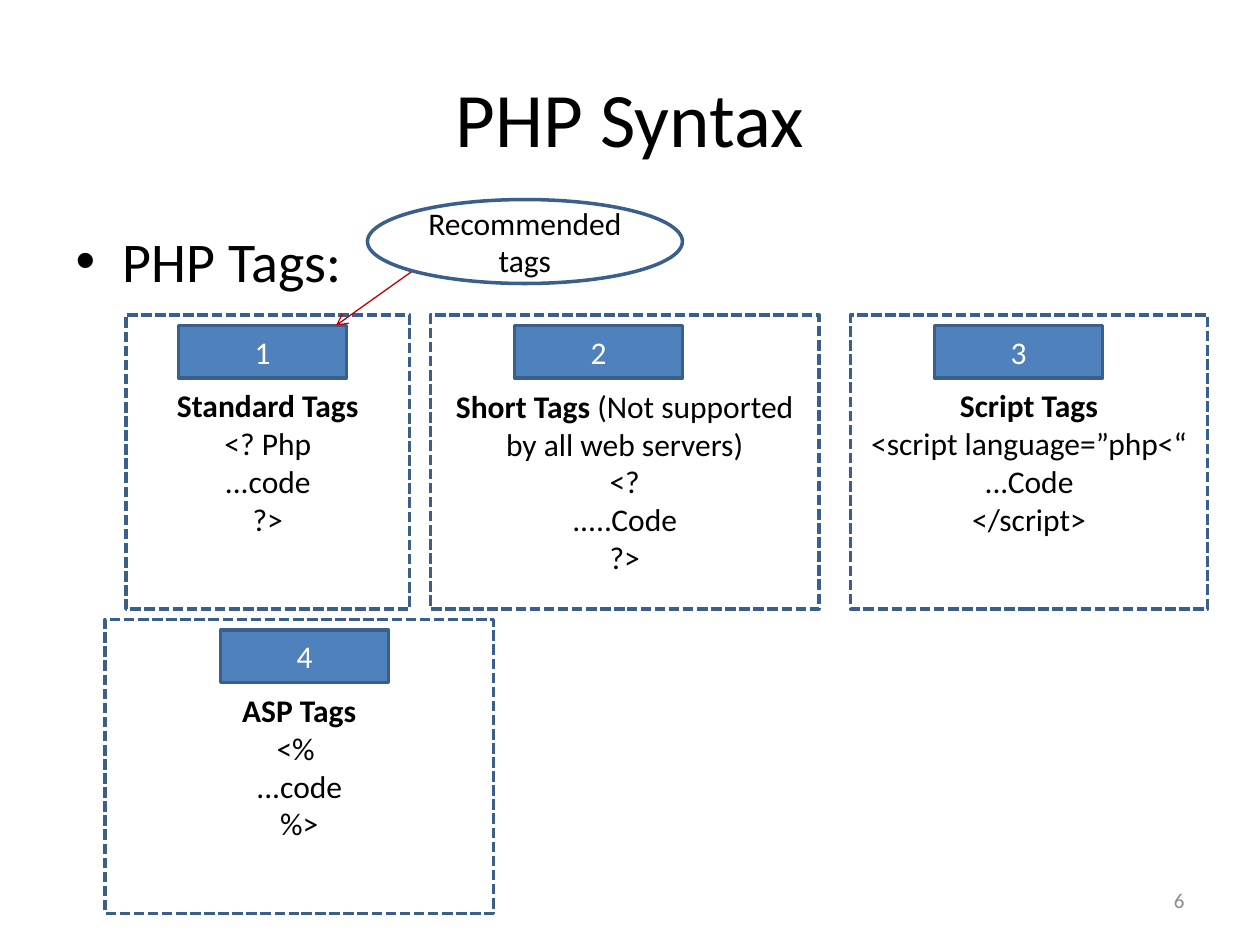
from lxml import etree
from pptx import Presentation
from pptx.dml.color import RGBColor
from pptx.enum.dml import MSO_LINE as DASH
from pptx.enum.shapes import MSO_CONNECTOR as CONN, MSO_SHAPE as SHAPE
from pptx.enum.text import MSO_ANCHOR as ANCHOR, PP_ALIGN as ALIGN
from pptx.oxml.ns import qn
from pptx.util import Pt

PX = 9525
COLORS = {"white": "FFFFFF", "black": "000000", "border": "3A5F8C",
          "badge": "4F81BD", "arrow": "C00000", "number": "8C8C8C"}


def style(p, size, color, align):
    p.alignment = align
    p.font.name = "Calibri"
    p.font.size = Pt(size)
    p.font.color.rgb = RGBColor.from_string(COLORS[color])


def add_box(kind, box, fill, color, lines):
    sp = s.shapes.add_shape(kind, *[v * PX for v in box])
    sp.shadow.inherit = False
    sp.fill.solid()
    sp.fill.fore_color.rgb = RGBColor.from_string(COLORS[fill])
    sp.line.color.rgb = RGBColor.from_string(COLORS["border"])
    sp.line.width = Pt(2)
    tf = sp.text_frame
    tf.word_wrap = True
    tf.vertical_anchor = ANCHOR.MIDDLE
    for i, line in enumerate(lines):
        p = tf.paragraphs[0] if i == 0 else tf.add_paragraph()
        p.add_run().text = line
        style(p, 18, color, ALIGN.CENTER)
    return sp


prs = Presentation()
prs.slide_width, prs.slide_height = 960 * PX, 720 * PX
s = prs.slides.add_slide(prs.slide_layouts[1])

title, body = s.shapes.title, s.placeholders[1]
for sp, box, text, size, align in [
    (title, (48, 29, 864, 120), "PHP Syntax", 44, ALIGN.CENTER),
    (body, (48, 168, 864, 475), "PHP Tags:", 32, ALIGN.LEFT),
]:
    sp.left, sp.top, sp.width, sp.height = [v * PX for v in box]
    sp.text_frame.text = text
    style(sp.text_frame.paragraphs[0], size, "black", align)

number = s.shapes.add_textbox(688 * PX, 667 * PX, 224 * PX, 38 * PX)
tf = number.text_frame
tf.word_wrap = True
tf.vertical_anchor = ANCHOR.MIDDLE
tf.text = "6"
style(tf.paragraphs[0], 12, "number", ALIGN.RIGHT)

cards = [
    (96, 240, 216, 136, "Standard Tags", "", ["<? Php", "...code", "?>"]),
    (328, 240, 296, 392, "Short Tags ", "(Not supported by all web servers)",
     ["<?", ".....Code", "?>"]),
    (648, 240, 272, 712, "Script Tags", "",
     ["<script language=”php<“", "...Code", "</script>"]),
    (80, 472, 296, 168, "ASP Tags", "", ["<% ", "...code", "%>"]),
]
for i, (x, y, w, badge_x, heading, note, code) in enumerate(cards, 1):
    card = add_box(SHAPE.RECTANGLE, (x, y, w, 224), "white", "black", [heading] + code)
    card.line.dash_style = DASH.SQUARE_DOT
    p = card.text_frame.paragraphs[0]
    p.runs[0].font.bold = True
    if note:
        p.add_run().text = note
        card.text_frame.margin_top = 34 * PX
    add_box(SHAPE.RECTANGLE, (badge_x, y + 8, 128, 40), "badge", "white", [str(i)])

arrow = s.shapes.add_connector(CONN.STRAIGHT, 315 * PX, 206 * PX, 256 * PX, 248 * PX)
arrow.line.color.rgb = RGBColor.from_string(COLORS["arrow"])
arrow.line.width = Pt(0.75)
etree.SubElement(arrow.line._get_or_add_ln(), qn("a:tailEnd"), type="arrow")
etree.SubElement(arrow._element.spPr, qn("a:effectLst"))

add_box(SHAPE.OVAL, (280, 152, 240, 64), "white", "black", ["Recommended tags"])

prs.save("out.pptx")
